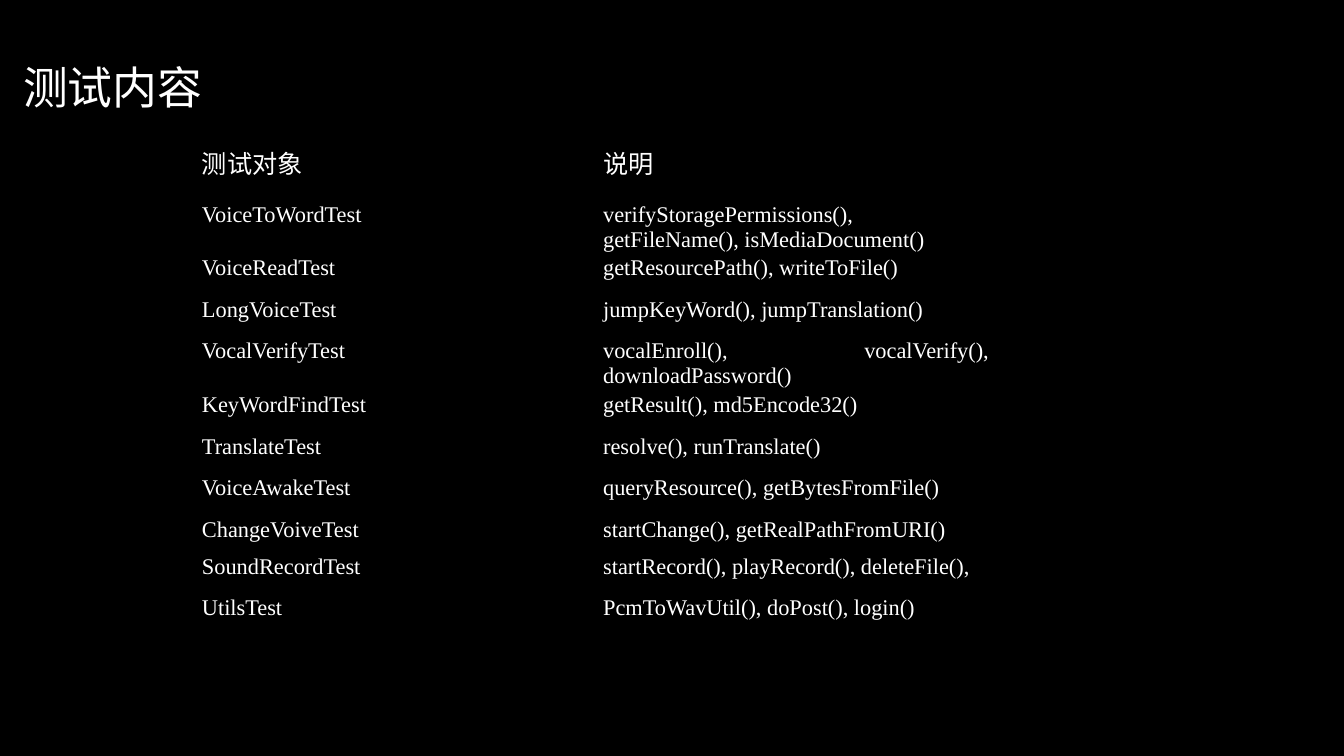
import pptx
import pptx.dml.color
import pptx.enum.text
import pptx.oxml
import pptx.oxml.ns
import pptx.util
from pptx.util import Cm

BLACK = pptx.dml.color.RGBColor(0x00, 0x00, 0x00)
WHITE = pptx.dml.color.RGBColor(0xFF, 0xFF, 0xFF)

TITLE_ONLY_LAYOUT = 5
ROW_HEIGHT = Cm(1.05)
SPECIAL_HEIGHTS = {1: Cm(1.76), 4: Cm(1.35), 8: Cm(0.92)}
TOP_MARGINS = {1: Cm(0.42)}

TEST_ROWS = [
    ("测试对象", "说明"),
    ("VoiceToWordTest", "verifyStoragePermissions(), getFileName(), isMediaDocument()"),
    ("VoiceReadTest", "getResourcePath(), writeToFile()"),
    ("LongVoiceTest", "jumpKeyWord(), jumpTranslation()"),
    ("VocalVerifyTest", "vocalEnroll(), vocalVerify(), downloadPassword()"),
    ("KeyWordFindTest", "getResult(), md5Encode32()"),
    ("TranslateTest", "resolve(), runTranslate()"),
    ("VoiceAwakeTest", "queryResource(), getBytesFromFile()"),
    ("ChangeVoiveTest", "startChange(), getRealPathFromURI()"),
    ("SoundRecordTest", "startRecord(), playRecord(), deleteFile(),"),
    ("UtilsTest", "PcmToWavUtil(), doPost(), login()"),
]


def style_paragraph(para, font_name, size, alignment):
    para.alignment = alignment
    para.font.name = font_name
    para.font.size = pptx.util.Pt(size)
    para.font.color.rgb = WHITE


def set_title(page, text):
    title = page.shapes.title
    title.left, title.top = Cm(0.33), Cm(1.37)
    title.width, title.height = Cm(6.27), Cm(1.63)
    frame = title.text_frame
    frame.text = text
    frame.vertical_anchor = pptx.enum.text.MSO_ANCHOR.MIDDLE
    style_paragraph(frame.paragraphs[0], "League Spartan", 32, pptx.enum.text.PP_ALIGN.LEFT)


def set_borders(cell):
    properties = cell._tc.get_or_add_tcPr()
    namespace = pptx.oxml.ns.nsdecls("a")
    for position, side in enumerate(("lnL", "lnR", "lnT", "lnB")):
        border = pptx.oxml.parse_xml(
            f'<a:{side} {namespace} w="12700"><a:solidFill>'
            f'<a:srgbClr val="{BLACK}"/></a:solidFill></a:{side}>'
        )
        properties.insert(position, border)


def fill_cell(cell, text, size, top_margin):
    cell.text = text
    cell.margin_left = cell.margin_right = Cm(0.19)
    cell.margin_top, cell.margin_bottom = top_margin, Cm(0)
    cell.fill.background()
    set_borders(cell)
    style_paragraph(
        cell.text_frame.paragraphs[0], "Times New Roman", size, pptx.enum.text.PP_ALIGN.JUSTIFY
    )


def add_test_table(page):
    heights = [SPECIAL_HEIGHTS.get(index, ROW_HEIGHT) for index in range(len(TEST_ROWS))]
    table = page.shapes.add_table(
        len(TEST_ROWS), 2, Cm(4.9), Cm(3.63), Cm(20.22), sum(heights)
    ).table
    table.first_row = False
    table.horz_banding = False
    for index, (row, texts) in enumerate(zip(table.rows, TEST_ROWS)):
        row.height = heights[index]
        size = 18 if index == 0 else 16
        for cell, text in zip(row.cells, texts):
            fill_cell(cell, text, size, TOP_MARGINS.get(index, Cm(0)))


def main():
    deck = pptx.Presentation()
    deck.slide_width, deck.slide_height = Cm(33.87), Cm(19.05)
    page = deck.slides.add_slide(deck.slide_layouts[TITLE_ONLY_LAYOUT])
    page.background.fill.solid()
    page.background.fill.fore_color.rgb = BLACK
    set_title(page, "测试内容")
    add_test_table(page)
    deck.save("out.pptx")


if __name__ == "__main__":
    main()
